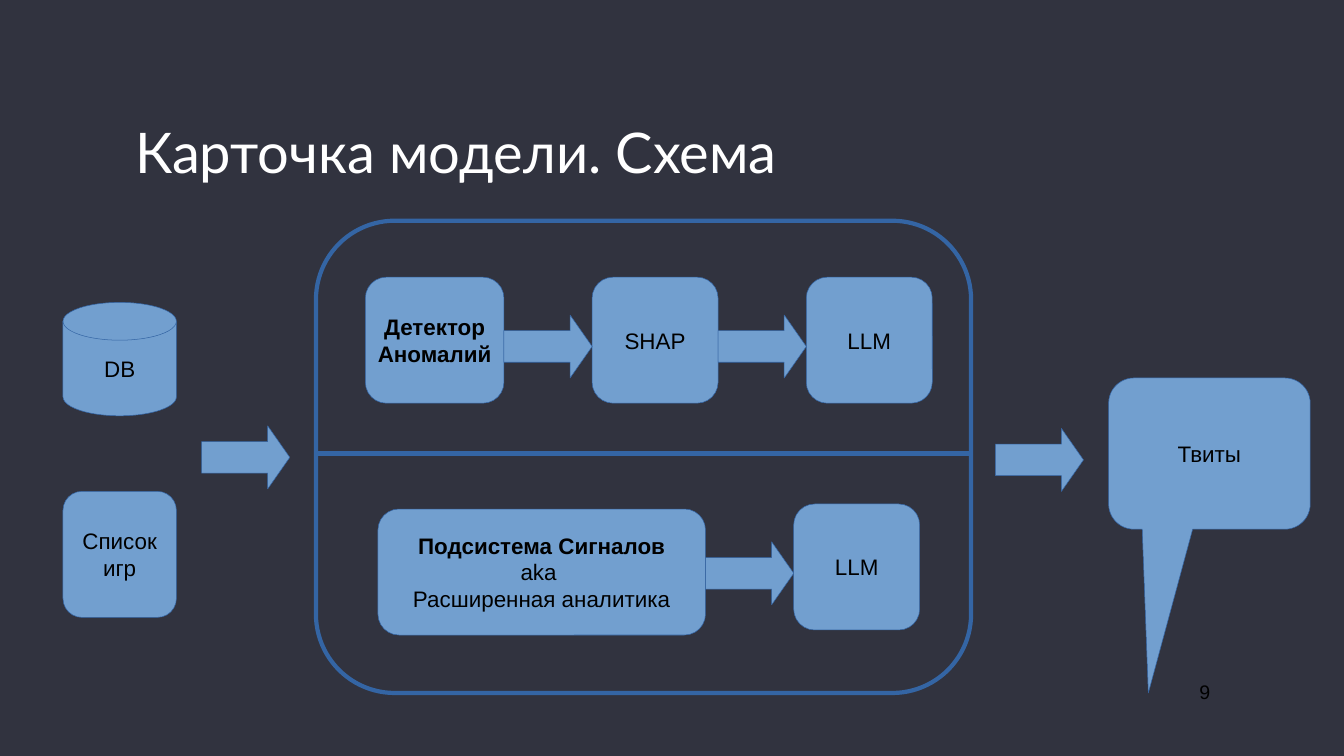
"""Build the model card scheme slide."""
from dataclasses import dataclass

from lxml.etree import SubElement
from pptx import Presentation
from pptx.dml.color import RGBColor
from pptx.enum.shapes import MSO_CONNECTOR, MSO_SHAPE
from pptx.enum.text import MSO_ANCHOR, MSO_AUTO_SIZE, PP_ALIGN
from pptx.oxml.ns import qn
from pptx.util import Inches, Pt


@dataclass(frozen=True)
class Theme:
    background: RGBColor = RGBColor.from_string("31333F")
    fill: RGBColor = RGBColor.from_string("729FCF")
    outline: RGBColor = RGBColor.from_string("3465A4")
    light: RGBColor = RGBColor.from_string("FFFFFF")
    dark: RGBColor = RGBColor.from_string("000000")
    title_font: str = "Lato"
    body_font: str = "Arial"
    title_size: int = 80
    body_size: int = 32
    number_size: int = 28
    hairline: int = 0
    frame_width: int = 6


def write_text(frame, text, *, font, size, color, align=PP_ALIGN.CENTER,
               anchor=MSO_ANCHOR.MIDDLE, bold_lines=0, inset=None):
    frame.word_wrap = True
    frame.auto_size = MSO_AUTO_SIZE.NONE
    frame.vertical_anchor = anchor
    if inset is not None:
        frame.margin_left = frame.margin_right = Inches(inset)
        frame.margin_top = frame.margin_bottom = Inches(inset)
    paragraph = frame.paragraphs[0]
    paragraph.alignment = align
    for index, line in enumerate(text.split("\n")):
        if index:
            paragraph.add_line_break()
        run = paragraph.add_run()
        run.text = line
        run.font.name = font
        run.font.size = Pt(size)
        run.font.bold = index < bold_lines
        run.font.color.rgb = color


class SchemeSlide:
    def __init__(self, presentation, theme):
        self.theme = theme
        self.slide = presentation.slides.add_slide(presentation.slide_layouts[5])
        self.slide.background.fill.solid()
        self.slide.background.fill.fore_color.rgb = theme.background

    def title(self, text, left, top, width, height):
        heading = self.slide.shapes.title
        heading.left, heading.top = Inches(left), Inches(top)
        heading.width, heading.height = Inches(width), Inches(height)
        write_text(heading.text_frame, text, font=self.theme.title_font,
                   size=self.theme.title_size, color=self.theme.light,
                   align=PP_ALIGN.LEFT, inset=0.06)

    def shape(self, kind, left, top, width, height, adjustments=()):
        block = self.slide.shapes.add_shape(
            kind, Inches(left), Inches(top), Inches(width), Inches(height))
        block.shadow.inherit = False
        block.fill.solid()
        block.fill.fore_color.rgb = self.theme.fill
        block.line.color.rgb = self.theme.outline
        block.line.width = Pt(self.theme.hairline)
        for index, value in enumerate(adjustments):
            block.adjustments[index] = value
        return block

    def node(self, text, left, top, width=2.5, height=2.5, bold_lines=0,
             kind=MSO_SHAPE.FLOWCHART_ALTERNATE_PROCESS, adjustments=()):
        block = self.shape(kind, left, top, width, height, adjustments)
        write_text(block.text_frame, text, font=self.theme.body_font,
                   size=self.theme.body_size, color=self.theme.dark,
                   bold_lines=bold_lines)

    def arrow(self, left, top):
        self.shape(MSO_SHAPE.RIGHT_ARROW, left, top, 1.75, 1.25, (0.5, 0.35))

    def frame(self, left, top, width, height):
        border = self.shape(MSO_SHAPE.FLOWCHART_ALTERNATE_PROCESS,
                            left, top, width, height)
        border.fill.background()
        border.line.width = Pt(self.theme.frame_width)

    def divider(self, left, right, y):
        rule = self.slide.shapes.add_connector(
            MSO_CONNECTOR.STRAIGHT, Inches(left), Inches(y), Inches(right), Inches(y))
        rule.line.color.rgb = self.theme.outline
        rule.line.width = Pt(self.theme.frame_width)
        SubElement(rule.element.spPr, qn("a:effectLst"))

    def number(self, text, left, top, width, height):
        box = self.slide.shapes.add_textbox(
            Inches(left), Inches(top), Inches(width), Inches(height))
        write_text(box.text_frame, text, font=self.theme.body_font,
                   size=self.theme.number_size, color=self.theme.dark,
                   anchor=MSO_ANCHOR.TOP, inset=0.06)


def main():
    presentation = Presentation()
    presentation.slide_width, presentation.slide_height = Inches(26.67), Inches(15)
    scheme = SchemeSlide(presentation, Theme())
    scheme.title("Карточка модели. Схема", 2.62, 2.27, 21.38, 1.44)

    scheme.node("DB", 1.25, 6, 2.25, 2.25, kind=MSO_SHAPE.FLOWCHART_MAGNETIC_DISK)
    scheme.node("Список\nигр", 1.25, 9.75, 2.25)
    scheme.arrow(4, 8.45)
    scheme.arrow(19.75, 8.5)
    scheme.node("Твиты", 22, 7.5, 4, 3, kind=MSO_SHAPE.ROUNDED_RECTANGULAR_CALLOUT,
                adjustments=(-0.303, 1.583, 0.167))

    scheme.frame(6.27, 4.38, 13, 9.37)
    scheme.divider(6.27, 19.27, 9)

    detector_row, signal_row, arrow_drop = 5.5, 10, 0.75
    scheme.node("Детектор Аномалий", 7.25, detector_row, 2.75, bold_lines=1)
    scheme.node("SHAP", 11.75, detector_row)
    scheme.node("LLM", 16, detector_row)
    for left in (10, 14.25):
        scheme.arrow(left, detector_row + arrow_drop)

    scheme.node("Подсистема Сигналов\naka \nРасширенная аналитика",
                7.5, signal_row + 0.1, 6.5, bold_lines=1)
    scheme.arrow(14, signal_row + arrow_drop)
    scheme.node("LLM", 15.75, signal_row)

    scheme.number("9", 22.25, 13.44, 3.32, 1.06)
    presentation.save("out.pptx")


if __name__ == "__main__":
    main()
